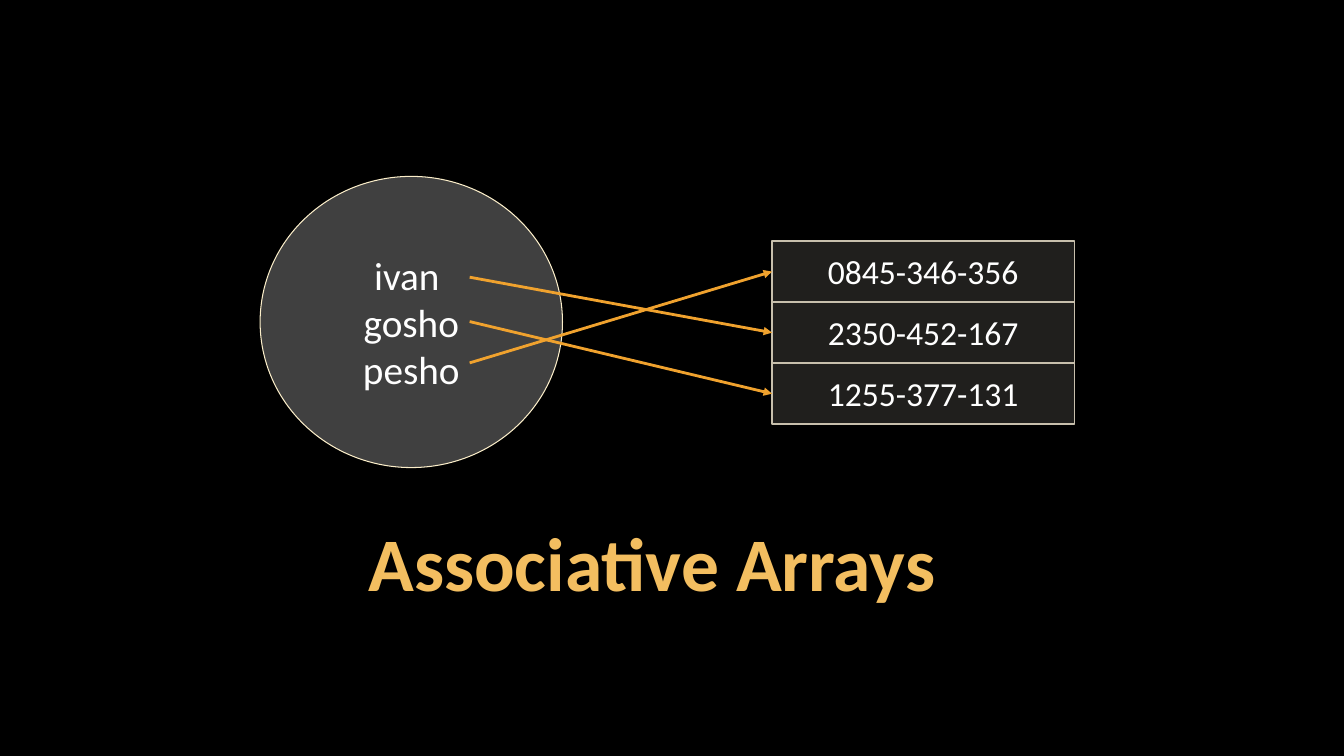
from pptx import Presentation
from pptx.dml.color import RGBColor
from pptx.enum import shapes, text
from pptx.oxml import ns
from pptx.util import Pt
from lxml import etree

TITLE = "Associative Arrays"
KEYS = ["ivan ", "gosho", "pesho"]
VALUES = ["0845-346-356", "2350-452-167", "1255-377-131"]
LINKS = [(198, 1), (229.7, 2), (259.2, 0)]
CIRCLE = (185.8, 126, 216, 208)
CELL_LEFT, CELL_TOP, CELL_W, CELL_H = 551.5, 172.2, 216, 43.6
ARROW_LEFT = 335.5


def color(hex_code):
    return RGBColor.from_string(hex_code)


def sub(parent, tag, **attrs):
    return etree.SubElement(parent, ns.qn(tag), attrs)


def write(tf, lines, size, fill="FFFFFF", bold=False, spacing=None,
          anchor=text.MSO_ANCHOR.MIDDLE, margins=(7.2, 3.6)):
    tf.word_wrap = True
    tf.auto_size = text.MSO_AUTO_SIZE.NONE
    tf.vertical_anchor = anchor
    tf.margin_left = tf.margin_right = Pt(margins[0])
    tf.margin_top = tf.margin_bottom = Pt(margins[1])
    for i, line in enumerate(lines):
        p = tf.add_paragraph() if i else tf.paragraphs[0]
        p.alignment = text.PP_ALIGN.CENTER
        p.line_spacing = spacing
        r = p.add_run()
        r.text = line
        r.font.name = "Calibri"
        r.font.size = Pt(size)
        r.font.bold = bold
        r.font.color.rgb = color(fill)


def add_box(s, kind, box, fill, opacity, line, width):
    sp = s.shapes.add_shape(kind, *map(Pt, box))
    sp.shadow.inherit = False
    sp.fill.solid()
    sp.fill.fore_color.rgb = color(fill)
    rgb = sp._element.spPr.find(".//" + ns.qn("a:srgbClr"))
    sub(rgb, "a:alpha", val=str(opacity * 1000))
    sp.line.color.rgb = color(line)
    sp.line.width = Pt(width)
    return sp


def add_arrow(s, y, cell):
    c = s.shapes.add_connector(shapes.MSO_CONNECTOR.STRAIGHT, Pt(ARROW_LEFT), Pt(y),
                               Pt(CELL_LEFT), cell.top + cell.height // 2)
    c.end_connect(cell, 1)
    c.line.color.rgb = color("F0A22E")
    c.line.width = Pt(2)
    sub(c.line._get_or_add_ln(), "a:tailEnd", type="triangle")
    sub(c._element.spPr, "a:effectLst")


def main():
    prs = Presentation()
    prs.slide_width, prs.slide_height = Pt(960), Pt(540)
    s = prs.slides.add_slide(prs.slide_layouts[5])
    s.background.fill.solid()
    s.background.fill.fore_color.rgb = color("000000")

    title = s.shapes.title
    title.left, title.top, title.width, title.height = map(Pt, (113.8, 375, 704, 61.2))
    write(title.text_frame, [TITLE], 54, fill="F3BE60", bold=True, spacing=Pt(54),
          anchor=text.MSO_ANCHOR.BOTTOM, margins=(2.9, 2.9))

    circle = add_box(s, shapes.MSO_SHAPE.OVAL, CIRCLE, "808080", 50, "FBEEC9", 0.75)
    write(circle.text_frame, KEYS, 28)

    cells = []
    for i, value in enumerate(VALUES):
        box = (CELL_LEFT, CELL_TOP + i * CELL_H, CELL_W, CELL_H)
        cell = add_box(s, shapes.MSO_SHAPE.RECTANGLE, box, "D9D5C7", 15, "C7BFAC", 1)
        write(cell.text_frame, [value], 24, anchor=text.MSO_ANCHOR.TOP, margins=(14.4, 7.2))
        cells.append(cell)

    for y, row in LINKS:
        add_arrow(s, y, cells[row])

    prs.save("out.pptx")


if __name__ == "__main__":
    main()
